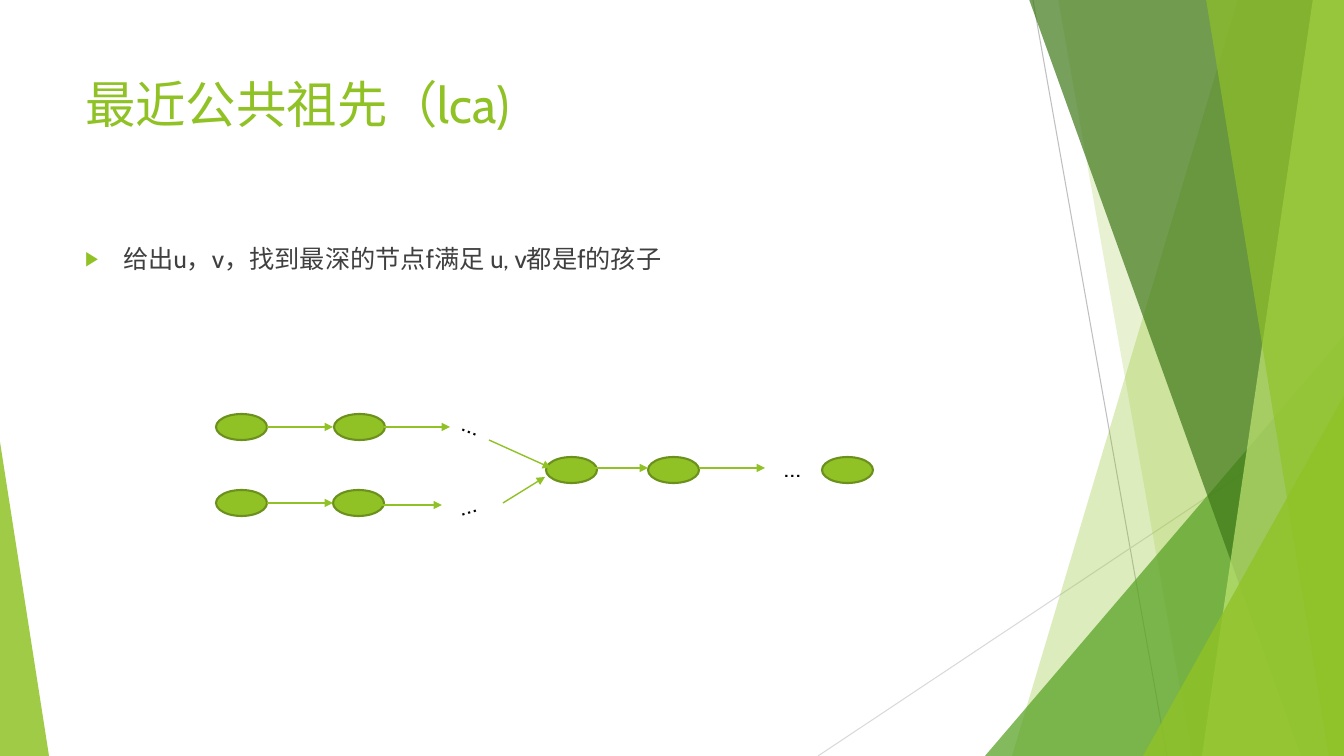
from dataclasses import dataclass
from typing import Any

from lxml.etree import SubElement
from pptx import Presentation
from pptx.dml.color import RGBColor
from pptx.enum.shapes import MSO_CONNECTOR, MSO_SHAPE
from pptx.enum.text import MSO_ANCHOR, MSO_AUTO_SIZE, PP_ALIGN
from pptx.oxml.ns import qn
from pptx.util import Emu, Pt

SCALE = 914400 / 100.8  # EMU in one px
WIDTH, HEIGHT = 1344, 756


@dataclass(frozen=True)
class Theme:
    font: str = "Cabin"
    lime: str = "90C226"
    leaf: str = "54A021"
    moss: str = "3F7819"
    pale: str = "C0E474"
    edge: str = "6B901C"
    gray: str = "BFBFBF"
    mist: str = "D9D9D9"
    ink: str = "404040"
    black: str = "000000"
    head: int = 36
    text: int = 18


def px(*nums):
    return [Emu(round(n * SCALE)) for n in nums]


def put(obj, vals):
    for name, val in vals.items():
        setattr(obj, name, val)


def tag(parent, name, **attrs):
    return SubElement(parent, qn(name), attrs)


@dataclass
class Board:
    look: Theme
    slide: Any

    def paint(self, shape, color, alpha=100, edge=None):
        shape.shadow.inherit = False
        shape.fill.solid()
        shape.fill.fore_color.rgb = RGBColor.from_string(color)
        if alpha < 100:
            clr = shape.element.spPr.find(".//" + qn("a:srgbClr"))
            tag(clr, "a:alpha", val=str(alpha * 1000))
        if edge:
            shape.line.width = Pt(1.5)
            shape.line.color.rgb = RGBColor.from_string(edge)
        else:
            shape.line.fill.background()

    def band(self, top, foot, color, alpha):
        """Fill from a slanted left side to the right edge of the slide."""
        pen = self.slide.shapes.build_freeform(top, -1, scale=SCALE)
        pen.add_line_segments([(WIDTH, -1), (WIDTH, HEIGHT), (foot, HEIGHT)])
        self.paint(pen.convert_to_shape(), color, alpha)

    def wedge(self, left, top, width, apex, color, alpha):
        """Triangle that stands on the foot of the slide."""
        box = px(left, top, width, HEIGHT - top)
        shape = self.slide.shapes.add_shape(MSO_SHAPE.ISOSCELES_TRIANGLE, *box)
        shape.adjustments[0] = apex
        self.paint(shape, color, alpha)

    def node(self, left, top):
        shape = self.slide.shapes.add_shape(MSO_SHAPE.OVAL, *px(left, top, 51, 26))
        self.paint(shape, self.look.lime, edge=self.look.edge)

    def line(self, ends, color, width, arrow=False):
        link = self.slide.shapes.add_connector(MSO_CONNECTOR.STRAIGHT, *px(*ends))
        link.line.width = Pt(width)
        link.line.color.rgb = RGBColor.from_string(color)
        props = link.element.spPr
        if arrow:
            tag(props.find(qn("a:ln")), "a:tailEnd", type="triangle")
        tag(props, "a:effectLst")

    def label(self, shape, text, size, color):
        frame = shape.text_frame
        put(frame, {"word_wrap": True, "auto_size": MSO_AUTO_SIZE.NONE,
                    "vertical_anchor": MSO_ANCHOR.TOP})
        frame.text = text
        para = frame.paragraphs[0]
        put(para, {"alignment": PP_ALIGN.LEFT, "space_before": Pt(0)})
        font = para.runs[0].font
        put(font, {"name": self.look.font, "size": Pt(size), "bold": False})
        font.color.rgb = RGBColor.from_string(color)
        return para

    def hold(self, index, box, text, size, color):
        """Move a placeholder to the front and fill it."""
        shape = self.slide.placeholders[index]
        put(shape, dict(zip(("left", "top", "width", "height"), px(*box))))
        tree = shape.element.getparent()
        tree.append(shape.element)
        return self.label(shape, text, size, color)

    def title(self, box, text):
        self.hold(0, box, text, self.look.head, self.look.lime)

    def bullet(self, box, text):
        para = self.hold(1, box, text, self.look.text, self.look.ink)
        props = para._p.get_or_add_pPr()
        indent = px(38)[0]
        props.set("marL", str(indent))
        props.set("indent", str(-indent))
        tag(tag(props, "a:buClr"), "a:srgbClr", val=self.look.lime)
        tag(props, "a:buSzPct", val="80000")
        tag(props, "a:buChar", char="▶")

    def dots(self, left, top, width, turn):
        shape = self.slide.shapes.add_textbox(*px(left, top, width, 40))
        shape.rotation = turn
        self.label(shape, "…", self.look.text, self.look.black)


def main():
    deck = Presentation()
    deck.slide_width, deck.slide_height = px(WIDTH, HEIGHT)
    look = Theme()
    board = Board(look, deck.slides.add_slide(deck.slide_layouts[1]))

    # Backdrop
    board.line((1033, 0, 1167, HEIGHT), look.gray, 0.75)
    board.line((WIDTH, 406, 818, HEIGHT), look.mist, 0.75)
    board.band(1238, 1012, look.lime, 30)
    board.band(1058, 1192, look.lime, 20)
    board.wedge(985, 336, 359, 1, look.leaf, 72)
    board.band(1029, 1301, look.moss, 70)
    board.band(1313, 1202, look.pale, 70)
    board.band(1206, 1329, look.lime, 65)
    board.wedge(1143, 396, 201, 1, look.lime, 80)
    board.wedge(0, 442, 49, 0, look.lime, 85)

    # Title and statement
    board.title((75, 68, 948, 145), "最近公共祖先（lca)")
    board.bullet((75, 238, 948, 427), "给出u，v，找到最深的节点f满足 u, v都是f的孩子")

    # Nodes: two branches, then the shared chain
    rows = {414: (216, 334), 490: (216, 333), 457: (546, 648, 822)}
    for top, lefts in rows.items():
        for left in lefts:
            board.node(left, top)

    # Level arrows share one length, slanted ones join the branches
    starts = [(267, 427), (267, 503), (384, 427), (376, 505), (582, 468), (699, 468)]
    level = [(x, y, x + 66, y) for x, y in starts]
    slant = [(489, 440, 551, 468), (503, 503, 545, 477)]
    for ends in level + slant:
        board.line(ends, look.lime, 1, arrow=True)

    # Ellipses in the chains
    board.dots(454, 404, 35, 21.1)
    board.dots(448, 483, 47, 343.7)
    board.dots(774, 447, 47, 0)

    deck.save("out.pptx")


if __name__ == "__main__":
    main()
